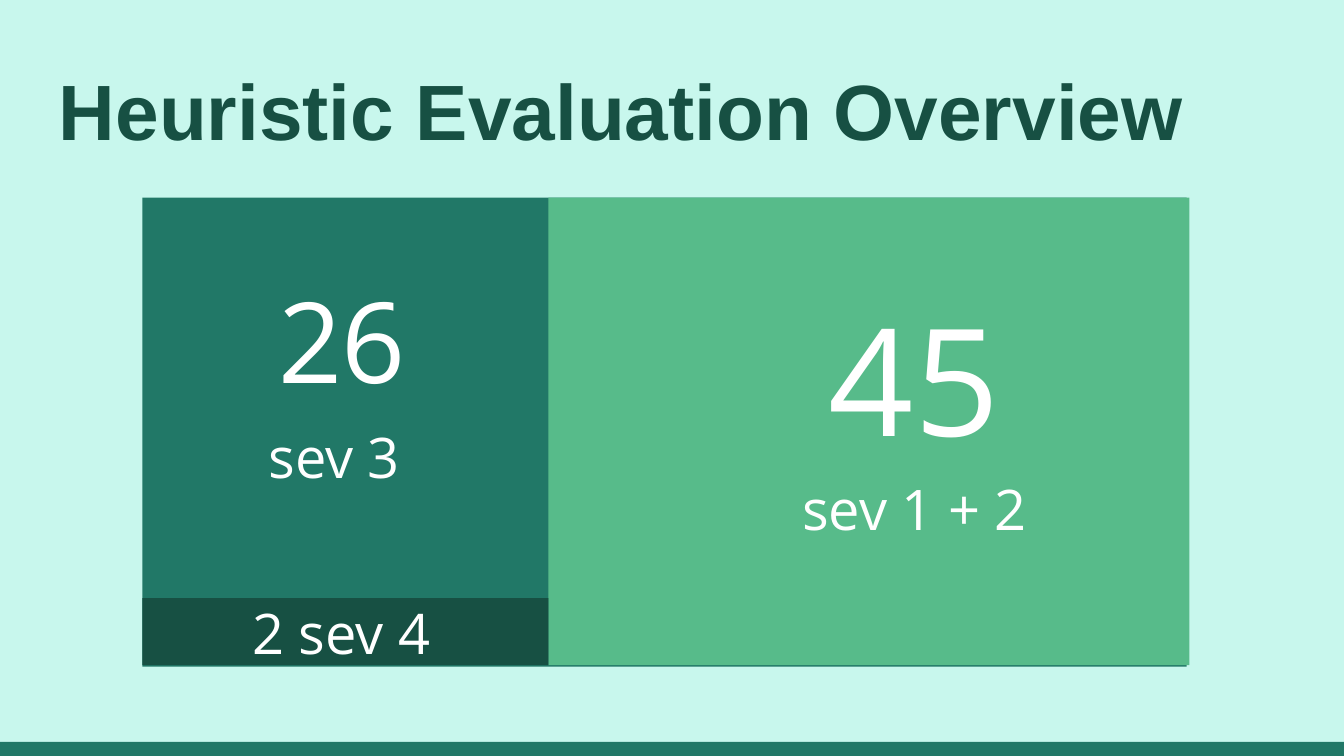
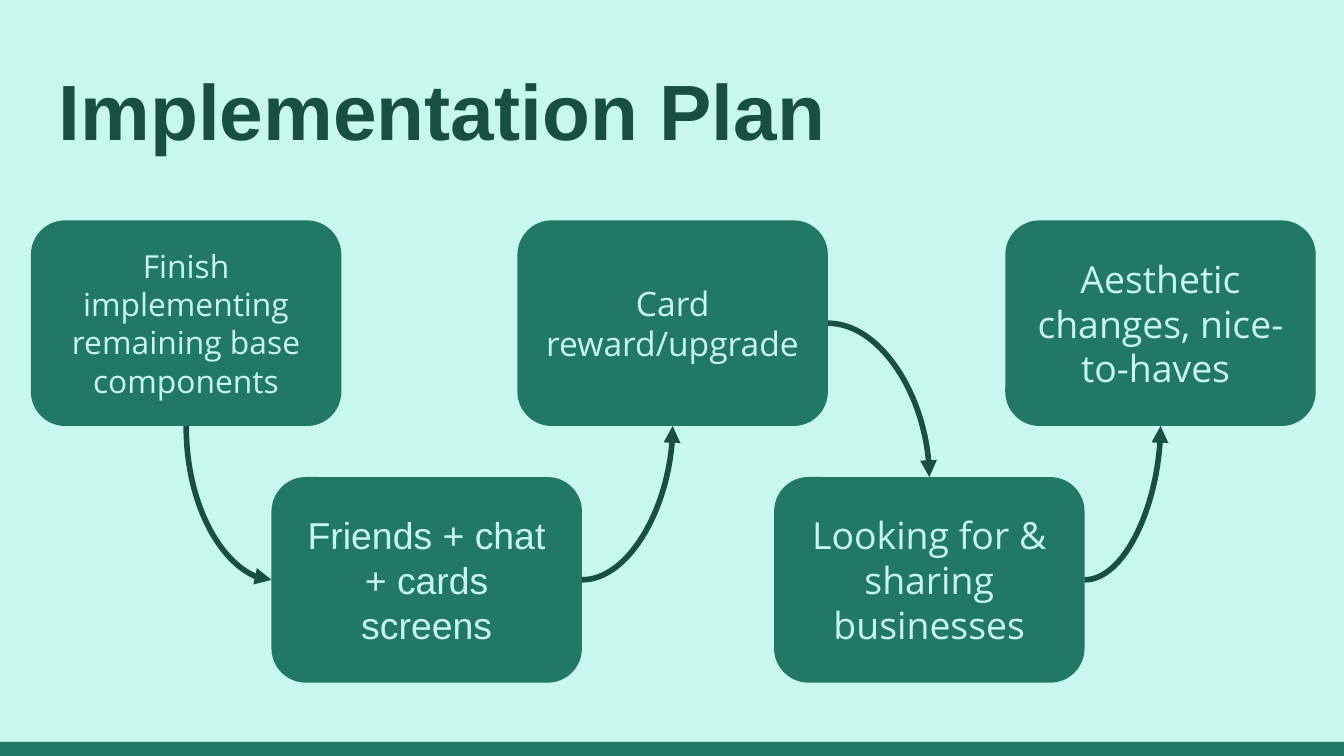
from dataclasses import dataclass

from lxml import etree
from pptx import Presentation
from pptx.dml.color import RGBColor
from pptx.enum.shapes import MSO_CONNECTOR, MSO_SHAPE
from pptx.enum.text import MSO_ANCHOR, PP_ALIGN
from pptx.oxml.ns import qn
from pptx.util import Inches, Pt

RECTANGLE = MSO_SHAPE.RECTANGLE
STEP_SHAPE = MSO_SHAPE.FLOWCHART_ALTERNATE_PROCESS
CURVE = MSO_CONNECTOR.CURVE
LEFT, CENTER = PP_ALIGN.LEFT, PP_ALIGN.CENTER
TOP, MIDDLE, BOTTOM = MSO_ANCHOR.TOP, MSO_ANCHOR.MIDDLE, MSO_ANCHOR.BOTTOM


@dataclass(frozen=True)
class Theme:
    mint: str = "C8F7ED"
    teal: str = "217867"
    dark: str = "175043"
    green: str = "57BB8A"
    white: str = "FFFFFF"
    heading_font: str = "Arial"
    body_font: str = "Open Sans"
    title_size: int = 42
    label_size: int = 30
    step_size: int = 20
    arrow_width: int = 3
    inset: float = 0.1


THEME = Theme()
WIDTH = 10
HEIGHT = WIDTH * 9 / 16

# Severity blocks: left, top, width, height, colour
SEVERITY_BLOCKS = [
    (1.06, 1.47, 7.77, 3.49, THEME.teal),
    (4.08, 1.47, 4.77, 3.48, THEME.green),
    (1.06, 4.45, 3.02, 0.5, THEME.dark),
]
# Severity labels: text, left, top, width, height, size
SEVERITY_LABELS = [
    ("26", 1.97, 1.92, 1.19, 1.21, 60),
    ("sev 3", 1.9, 3.04, 1.24, 0.71, THEME.label_size),
    ("45", 6.07, 2.04, 1.53, 1.55, 80),
    ("sev 1 + 2", 5.87, 3.43, 2.03, 0.71, THEME.label_size),
    ("2 sev 4", 1.78, 4.35, 1.57, 0.71, THEME.label_size),
]

# Plan steps alternate between an upper and a lower row: text, left, size, font
STEP_W, STEP_H = 2.31, 1.53
ROW_TOPS = (1.64, 3.55)
STEPS = [
    ("Finish implementing remaining base components", 0.23, 17, THEME.body_font),
    ("Friends + chat + cards screens", 2.02, THEME.step_size, THEME.heading_font),
    ("Card reward/upgrade", 3.85, 18, THEME.body_font),
    ("Looking for & sharing businesses", 5.76, THEME.step_size, THEME.body_font),
    ("Aesthetic changes, nice-to-haves ", 7.48, THEME.step_size, THEME.body_font),
]


def rgb(color):
    return RGBColor.from_string(color)


def write(shape, text, size, color, font, bold=False, align=LEFT, anchor=TOP):
    frame = shape.text_frame
    frame.word_wrap = True
    frame.vertical_anchor = anchor
    inset = Inches(THEME.inset)
    frame.margin_left = frame.margin_right = inset
    frame.margin_top = frame.margin_bottom = inset
    paragraph = frame.paragraphs[0]
    paragraph.alignment = align
    run = paragraph.add_run()
    run.text = text
    run.font.size = Pt(size)
    run.font.name = font
    run.font.bold = bold
    run.font.color.rgb = rgb(color)


def add_label(slide, text, left, top, width, height, size,
              color=THEME.white, font=THEME.body_font, **style):
    label = slide.shapes.add_textbox(
        Inches(left), Inches(top), Inches(width), Inches(height))
    write(label, text, size, color, font, **style)


def add_block(slide, left, top, width, height, color, outline=RECTANGLE):
    block = slide.shapes.add_shape(
        outline, Inches(left), Inches(top), Inches(width), Inches(height))
    block.shadow.inherit = False
    block.fill.solid()
    block.fill.fore_color.rgb = rgb(color)
    block.line.fill.background()
    return block


def add_arrow(slide, start, end, leaves_down=False):
    """Quarter curve that leaves sideways, or downwards if leaves_down."""
    (x1, y1), (x2, y2) = start, end
    if leaves_down:
        # Lay the curve out a quarter turn away; the rotation brings it back
        mid_x, mid_y = (x1 + x2) / 2, (y1 + y2) / 2
        half_w, half_h = (y2 - y1) / 2, (x2 - x1) / 2
        x1, y1 = mid_x + half_w, mid_y - half_h
        x2, y2 = mid_x - half_w, mid_y + half_h
    arrow = slide.shapes.add_connector(
        CURVE, Inches(x1), Inches(y1), Inches(x2), Inches(y2))
    arrow.line.color.rgb = rgb(THEME.dark)
    arrow.line.width = Pt(THEME.arrow_width)
    properties = arrow._element.spPr
    properties.find(qn("a:prstGeom")).set("prst", "curvedConnector2")
    if leaves_down:
        properties.find(qn("a:xfrm")).set("rot", str(270 * 60000))
    etree.SubElement(properties.find(qn("a:ln")), qn("a:tailEnd"), type="triangle")
    etree.SubElement(properties, qn("a:effectLst"))


def add_slide(deck, title):
    slide = deck.slides.add_slide(deck.slide_layouts[6])
    slide.background.fill.solid()
    slide.background.fill.fore_color.rgb = rgb(THEME.mint)
    # Footer band and title
    add_block(slide, 0, 5.52, WIDTH, 0.11, THEME.teal)
    add_label(slide, title, 0.34, 0.35, 9.32, 0.91, THEME.title_size,
              THEME.dark, THEME.heading_font, bold=True, anchor=BOTTOM)
    return slide


def build_overview(deck):
    slide = add_slide(deck, "Heuristic Evaluation Overview")
    for block in SEVERITY_BLOCKS:
        add_block(slide, *block)
    for label in SEVERITY_LABELS:
        add_label(slide, *label)


def build_plan(deck):
    slide = add_slide(deck, "Implementation Plan")
    corners = []
    for index, (text, left, size, font) in enumerate(STEPS):
        top = ROW_TOPS[index % 2]
        step = add_block(slide, left, top, STEP_W, STEP_H, THEME.teal, STEP_SHAPE)
        write(step, text, size, THEME.mint, font, align=CENTER, anchor=MIDDLE)
        corners.append((left, top))

    # Arrows between neighbouring steps
    for index, ((x1, y1), (x2, y2)) in enumerate(zip(corners, corners[1:])):
        if index == 0:
            start = (x1 + STEP_W / 2, y1 + STEP_H)
            end = (x2, y2 + STEP_H / 2)
        else:
            start = (x1 + STEP_W, y1 + STEP_H / 2)
            end = (x2 + STEP_W / 2, y2 if y2 > y1 else y2 + STEP_H)
        add_arrow(slide, start, end, leaves_down=index == 0)


def main():
    deck = Presentation()
    deck.slide_width, deck.slide_height = Inches(WIDTH), Inches(HEIGHT)
    build_overview(deck)
    build_plan(deck)
    deck.save("out.pptx")


if __name__ == "__main__":
    main()
